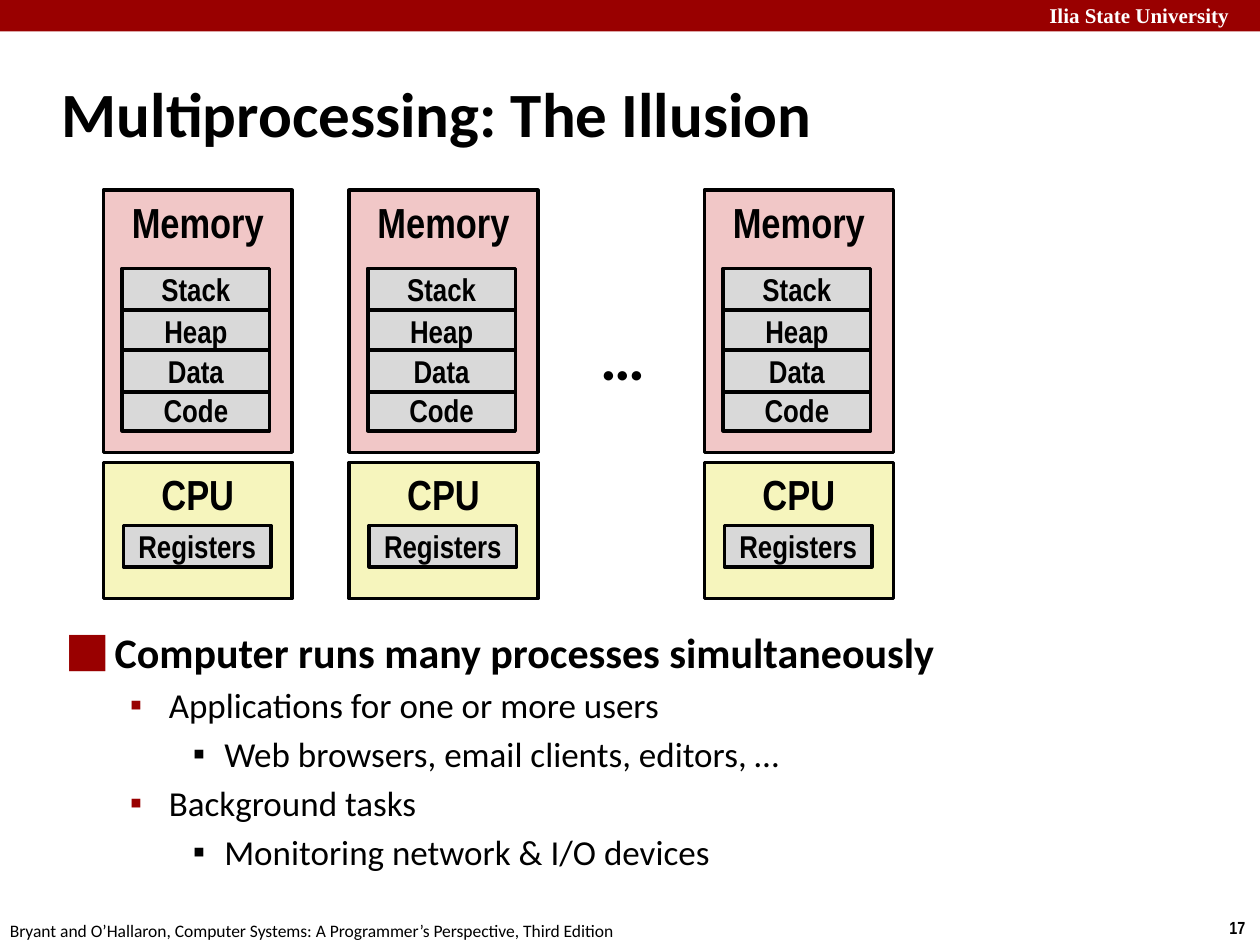
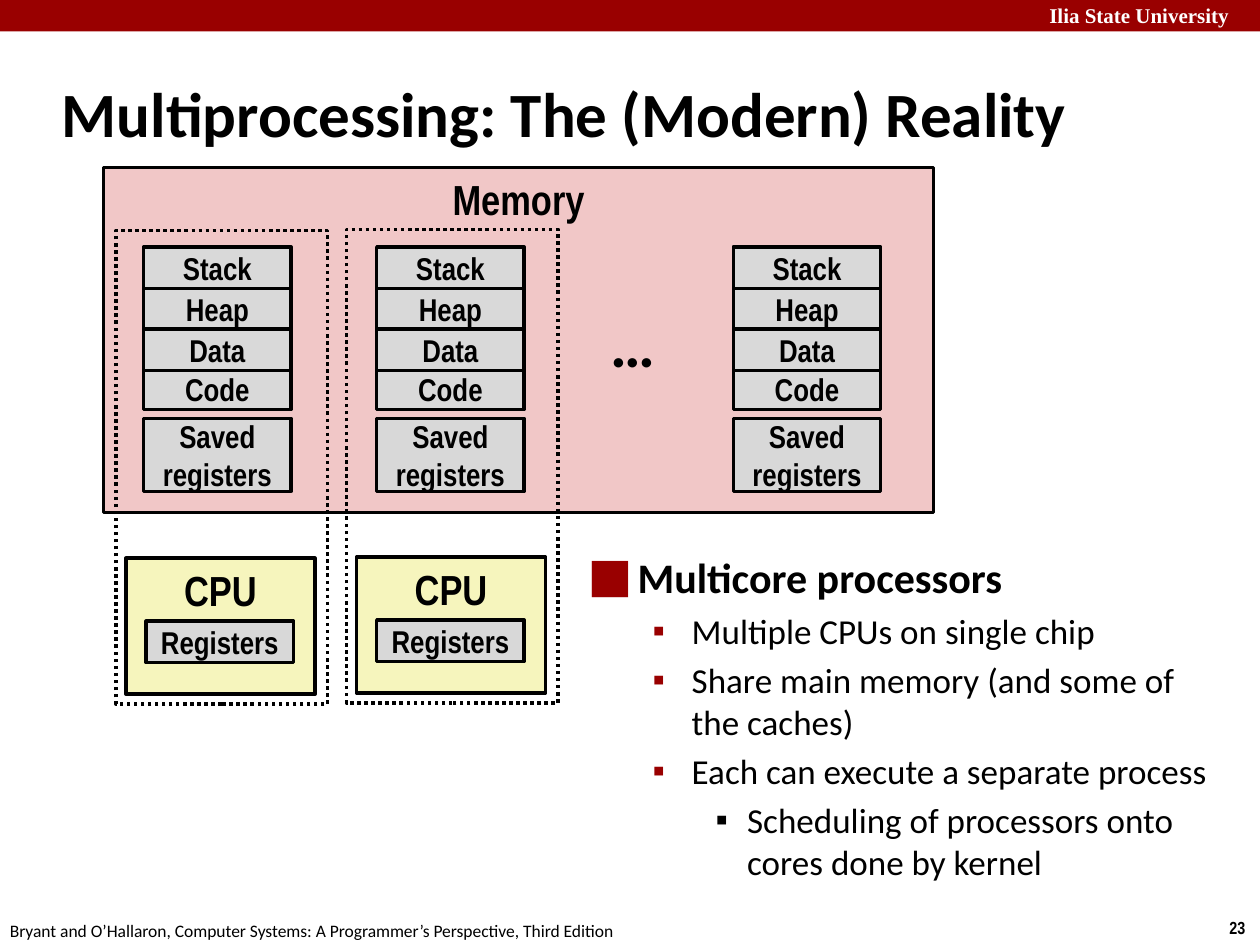
from lxml import etree
from pptx import Presentation
from pptx.dml.color import RGBColor
from pptx.enum import dml, shapes, text
from pptx.oxml.ns import qn
from pptx.util import Inches, Pt

HUE = {
    "red": "990000", "black": "000000", "white": "FFFFFF",
    "memory": "F1C7C7", "cpu": "F6F5BD", "part": "D9D9D9", "register": "D8D8D8",
}
# Per outline level: bullet, its colour, left margin, hanging indent, size, bold
LEVELS = [
    ("⬛", "red", 0.38, 0.38, 24, True),
    ("▪", "red", 0.81, 0.31, 20, False),
    ("▪", "black", 1.25, 0.25, 20, False),
]
PAGES = [
    {"title": "Multiprocessing: The Illusion", "wide": 8.3, "number": "17",
     "body": (0.43, 4.92, 8.64, 2.16),
     "list": [
         (0, "Computer runs many processes simultaneously"),
         (1, "Applications for one or more users"),
         (2, "Web browsers, email clients, editors, …"),
         (1, "Background tasks"),
         (2, "Monitoring network & I/O devices")]},
    {"title": "Multiprocessing: The (Modern) Reality", "wide": 9.28, "number": "23",
     "body": (4.58, 4.33, 5.17, 2.92),
     "list": [
         (0, "Multicore processors"),
         (1, "Multiple CPUs on single chip"),
         (1, "Share main memory (and some of the caches)"),
         (1, "Each can execute a separate process"),
         (2, "Scheduling of processors onto cores done by kernel")]},
]


def box(slide, x, y, w, h, fill=None, words="", size=18, top=False):
    """Draw an outlined rectangle; without a fill its outline is dotted."""
    rect = slide.shapes.add_shape(shapes.MSO_SHAPE.RECTANGLE,
                                  Inches(x), Inches(y), Inches(w), Inches(h))
    rect.shadow.inherit = False
    rect.line.color.rgb = RGBColor.from_string(HUE["black"])
    rect.line.width = Pt(2)
    if fill:
        rect.fill.solid()
        rect.fill.fore_color.rgb = RGBColor.from_string(HUE[fill])
    else:
        rect.fill.background()
        rect.line.dash_style = dml.MSO_LINE.ROUND_DOT
    if words:
        frame = rect.text_frame
        frame.text = words
        frame.vertical_anchor = text.MSO_ANCHOR.TOP if top else text.MSO_ANCHOR.MIDDLE
        para = frame.paragraphs[0]
        para.alignment = text.PP_ALIGN.CENTER
        font = para.runs[0].font
        font.name, font.size, font.bold = "Arial Narrow", Pt(size), True
        font.color.rgb = RGBColor.from_string(HUE["black"])
    return rect


def label(slide, x, y, w, h, words, name, size, bold=True, hue="black"):
    area = slide.shapes.add_textbox(Inches(x), Inches(y), Inches(w), Inches(h))
    area.text_frame.word_wrap = False
    area.text_frame.text = words
    font = area.text_frame.paragraphs[0].runs[0].font
    font.name, font.size, font.bold = name, Pt(size), bold
    font.color.rgb = RGBColor.from_string(HUE[hue])


deck = Presentation()
deck.slide_width, deck.slide_height = Inches(10), Inches(7.5)
slides = []

# Band, footer, title and list
for page in PAGES:
    slide = deck.slides.add_slide(deck.slide_layouts[1])
    slides.append(slide)
    band = box(slide, 0, 0, 10, 0.25, "red")
    band.line.fill.background()
    label(slide, 8.23, -0.03, 1.84, 0.3, "Ilia State University",
          "Times New Roman", 12, hue="white")
    label(slide, 9.66, 7.23, 0.34, 0.27, page["number"], "Arial Narrow", 10)
    label(slide, -0.02, 7.25, 5.08, 0.27,
          "Bryant and O’Hallaron, Computer Systems: A Programmer’s Perspective, Third Edition",
          "Calibri", 10, bold=False)

    title, body = slide.shapes.title, slide.placeholders[1]
    for holder, place in ((title, (0.39, 0.48, page["wide"], 0.83)), (body, page["body"])):
        holder.left, holder.top, holder.width, holder.height = map(Inches, place)
        holder.text_frame.auto_size = text.MSO_AUTO_SIZE.NONE

    title.text_frame.text = page["title"]
    title.text_frame.vertical_anchor = text.MSO_ANCHOR.MIDDLE
    head = title.text_frame.paragraphs[0]
    head.alignment = text.PP_ALIGN.LEFT
    font = head.runs[0].font
    font.name, font.size, font.bold = "Calibri", Pt(36), True
    font.color.rgb = RGBColor.from_string(HUE["black"])

    body.text_frame.text = "\n".join(words for _, words in page["list"])
    for para, (level, _) in zip(body.text_frame.paragraphs, page["list"]):
        mark, hue, left, hang, size, bold = LEVELS[level]
        para.level = level
        para.space_before = Pt(4 if level else 0)
        props = para._p.get_or_add_pPr()
        props.set("marL", str(Inches(left)))
        props.set("indent", str(-Inches(hang)))
        tint = etree.SubElement(props, qn("a:buClr"))
        etree.SubElement(tint, qn("a:srgbClr"), val=HUE[hue])
        etree.SubElement(props, qn("a:buChar"), char=mark)
        font = para.runs[0].font
        font.name, font.size, font.bold = "Calibri", Pt(size), bold
        font.color.rgb = RGBColor.from_string(HUE["black"])

first, second = slides

# Memories
COLS = (0.82, 2.77, 5.59)
SLOTS = (1.14, 2.99, 5.82)
for x in COLS:
    box(first, x, 1.51, 1.5, 2.08, "memory", "Memory", 24, top=True)
box(second, 0.82, 1.33, 6.59, 2.74, "memory", "Memory", 24, top=True)

# Process images; Data comes last as it overlaps Code
stacks = [(first, x + 0.15, 2.13) for x in COLS] + [(second, x, 1.96) for x in SLOTS]
for slide, x, y in stacks:
    for words, drop in (("Stack", 0), ("Heap", 0.33), ("Code", 0.96), ("Data", 0.65)):
        box(slide, x, y + drop, 1.17, 0.33, "part", words)
for x in SLOTS:
    box(second, x, 3.32, 1.17, 0.58, "register", "Saved registers")

# Processors
CORES = ((1, 4.43), (2.83, 4.42))
chips = [(first, x, 3.67) for x in COLS] + [(second, x, y) for x, y in CORES]
for slide, x, y in chips:
    box(slide, x, y, 1.5, 1.08, "cpu", "CPU", 24, top=True)
    box(slide, x + 0.16, y + 0.5, 1.17, 0.33, "register", "Registers")

# Dotted frames tie each core to its running process
for x, y in CORES:
    box(second, x - 0.08, y - 2.6, 1.68, 3.76)

for slide, x, y in ((first, 4.67, 2.47), (second, 4.75, 2.37)):
    label(slide, x, y, 0.56, 0.71, "…", "Calibri", 36)

deck.save("out.pptx")
